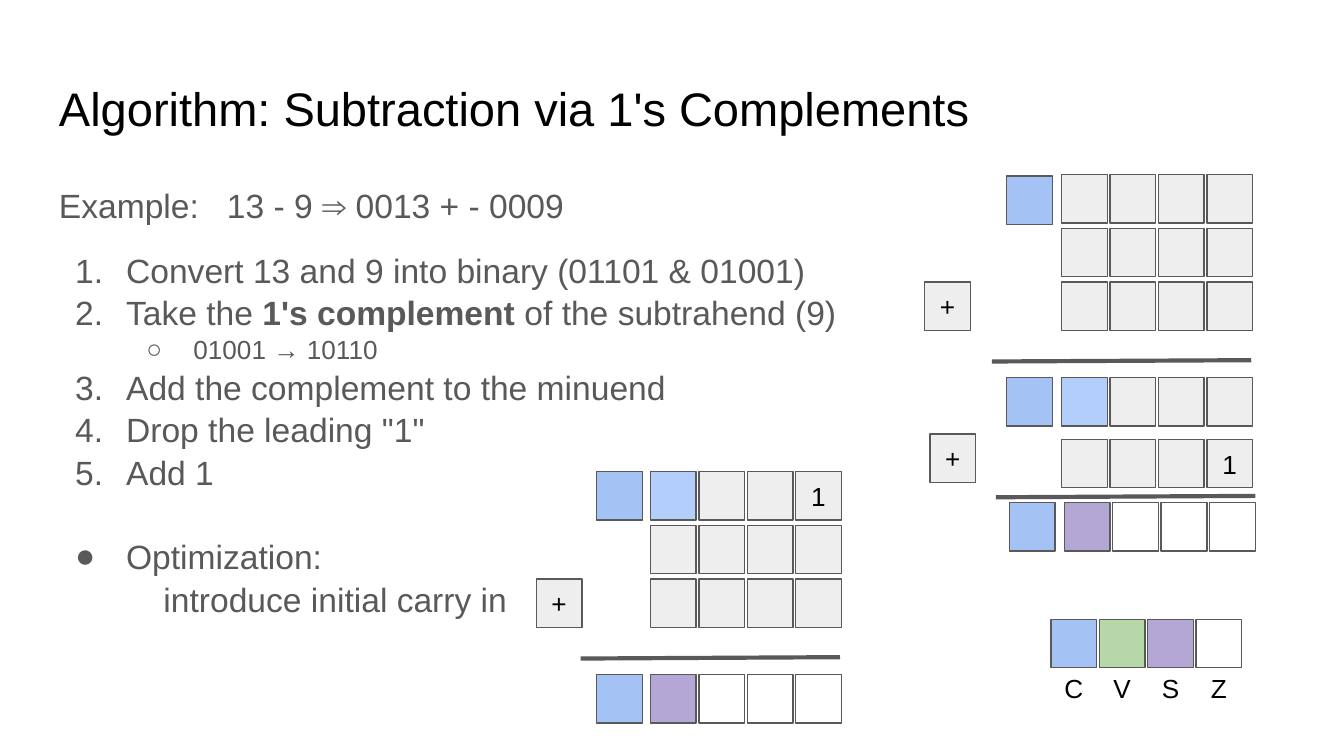
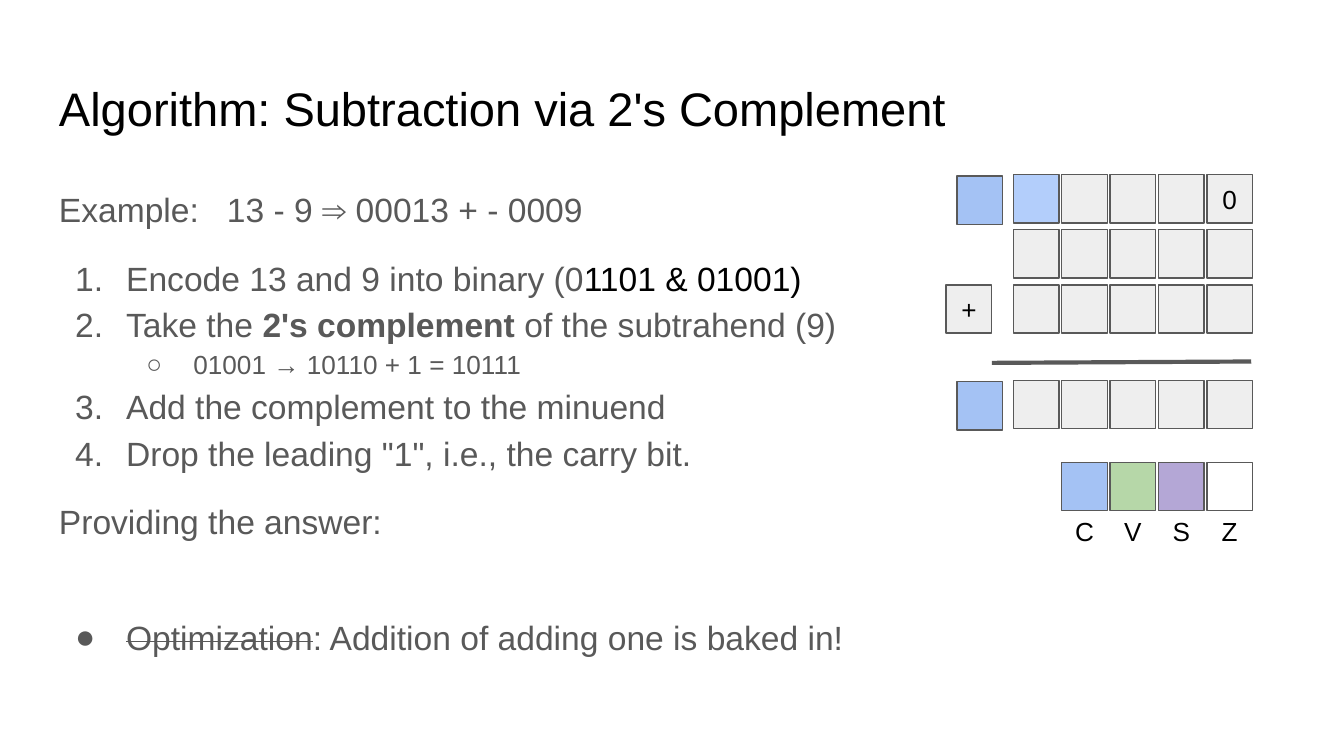
from dataclasses import dataclass

from lxml.etree import SubElement
from pptx import Presentation
from pptx.dml.color import RGBColor
from pptx.enum.shapes import MSO_CONNECTOR, MSO_SHAPE
from pptx.enum.text import MSO_ANCHOR, PP_ALIGN
from pptx.oxml.ns import qn
from pptx.util import Inches, Pt


@dataclass(frozen=True)
class Theme:
    font: str = "Arial"
    black: RGBColor = RGBColor.from_string("000000")
    gray: RGBColor = RGBColor.from_string("595959")
    title_size: float = 25.2
    body_size: float = 18
    small_size: float = 14


theme = Theme()

FILLS = {
    "bit": RGBColor.from_string("EEEEEE"),
    "carry": RGBColor.from_string("A4C2F4"),
    "lead": RGBColor.from_string("B3CEFB"),
    "overflow": RGBColor.from_string("B6D7A8"),
    "sign": RGBColor.from_string("B4A7D6"),
    "zero": RGBColor.from_string("FFFFFF"),
}
CELL_WIDTH, CELL_HEIGHT, CELL_PITCH = 0.34, 0.36, 0.36
LABEL_DROP = 0.33
BITS = ["bit"] * 4
RESULT = ["sign"] + ["zero"] * 3
LEAD_BITS = ["lead"] + ["bit"] * 3
FLAGS = ["carry", "overflow", "sign", "zero"]

LISTS = {
    "plain": (0, 0, None),
    "number": (0.5, -0.38, ("a:buAutoNum", "type", "arabicPeriod")),
    "circle": (1, -0.35, ("a:buChar", "char", "○")),
    "dot": (0.5, -0.38, ("a:buChar", "char", "●")),
}
GAPS = {"gap": "1000", "wide gap": "1500"}

SLIDES = [
    {
        "title": "Algorithm: Subtraction via 1's Complements",
        "spacing": 1.05,
        "body": [
            ("plain", 0, [("Example:", ""), (" ", "gap"), ("13 - 9 ⇒ 0013 + - 0009", "")]),
            ("number", 12, [("Convert 13 and 9 into binary (01101 & 01001)", "")]),
            ("number", 0, [("Take the", ""), (" 1's complement ", "bold"), ("of the subtrahend (9)", "")]),
            ("circle", 0, [("01001 → 10110", "")]),
            ("number", 0, [("Add the complement to the minuend", "")]),
            ("number", 0, [('Drop the leading "1"', "")]),
            ("number", 0, [("Add 1", "")]),
            ("dot", 22.6, [("Optimization:", ""), ("", "break"), (" ", "wide gap"), ("introduce initial carry in", "")]),
        ],
        "rows": [
            (7.49, 1.31, ["carry"], ""),
            (7.9, 1.3, BITS, ""),
            (7.9, 1.7, BITS, ""),
            (6.88, 2.1, ["bit"], "+"),
            (7.9, 2.1, BITS, ""),
            (7.49, 2.81, ["carry"], ""),
            (7.9, 2.81, LEAD_BITS, ""),
            (6.92, 3.23, ["bit"], "+"),
            (7.9, 3.27, BITS, "1"),
            (7.51, 3.74, ["carry"], ""),
            (7.92, 3.74, RESULT, ""),
            (4.44, 3.51, ["carry"], ""),
            (4.84, 3.51, LEAD_BITS, "1"),
            (4.84, 3.91, BITS, ""),
            (3.99, 4.31, ["bit"], "+"),
            (4.84, 4.31, BITS, ""),
            (4.44, 5.02, ["carry"], ""),
            (4.84, 5.02, RESULT, ""),
        ],
        "sums": [(7.38, 2.69), (7.41, 3.7), (4.32, 4.9)],
        "legend": (7.82, 4.61),
    },
    {
        "title": "Algorithm: Subtraction via 2's Complement",
        "spacing": 1.15,
        "body": [
            ("plain", 0, [("Example:", ""), (" ", "gap"), ("13 - 9 ⇒ 00013 + - 0009", "")]),
            ("number", 12, [("Encode 13 and 9 into binary (0", ""), ("1101 & 01001)", "black")]),
            ("number", 0, [("Take the ", ""), ("2's complement", "bold"), (" of the subtrahend (9)", "")]),
            ("circle", 0, [("01001 → 10110 + 1 = 10111", "")]),
            ("number", 0, [("Add the complement to the minuend", "")]),
            ("number", 0, [('Drop the leading "1", i.e., the carry bit.', "")]),
            ("plain", 12, [("Providing the answer:", "")]),
            ("dot", 37, [("Optimization", "strike"), (": Addition of adding one is baked in!", "")]),
        ],
        "rows": [
            (7.12, 1.31, ["carry"], ""),
            (7.54, 1.3, ["lead"] + BITS, "0"),
            (7.54, 1.71, ["bit"] + BITS, ""),
            (7.04, 2.12, ["bit"], "+"),
            (7.54, 2.12, ["bit"] + BITS, ""),
            (7.12, 2.84, ["carry"], ""),
            (7.54, 2.83, ["bit"] + BITS, ""),
        ],
        "sums": [(7.38, 2.7)],
        "legend": (7.9, 3.44),
    },
]


def style_span(span, size, color):
    span.font.name = theme.font
    span.font.size = Pt(size)
    span.font.color.rgb = color


def add_cell(page, left, top, fill, text):
    place = [Inches(length) for length in (left, top, CELL_WIDTH, CELL_HEIGHT)]
    if fill:
        box = page.shapes.add_shape(MSO_SHAPE.RECTANGLE, *place)
        box.shadow.inherit = False
        box.fill.solid()
        box.fill.fore_color.rgb = FILLS[fill]
        box.line.color.rgb = theme.gray
        box.line.width = Pt(0.75)
    else:
        box = page.shapes.add_textbox(*place)
    if text:
        frame = box.text_frame
        frame.word_wrap = True
        frame.vertical_anchor = MSO_ANCHOR.MIDDLE
        frame.margin_left = frame.margin_right = Inches(0.1)
        frame.margin_top = frame.margin_bottom = Inches(0.1)
        frame.text = text
        para = frame.paragraphs[0]
        para.alignment = PP_ALIGN.CENTER
        style_span(para.runs[0], theme.small_size, theme.black)


deck = Presentation()
deck.slide_width = Inches(10)
deck.slide_height = deck.slide_width * 9 // 16

for content in SLIDES:
    page = deck.slides.add_slide(deck.slide_layouts[6])

    frames = []
    for top, height in ((0.49, 0.63), (1.26, 3.74)):
        box = page.shapes.add_textbox(Inches(0.34), Inches(top), Inches(9.32), Inches(height))
        frame = box.text_frame
        frame.word_wrap = True
        frame.margin_left = frame.margin_right = Inches(0.1)
        frame.margin_top = frame.margin_bottom = Inches(0.1)
        frames.append(frame)
    title, body = frames

    title.text = content["title"]
    style_span(title.paragraphs[0].runs[0], theme.title_size, theme.black)

    for index, (kind, before, pieces) in enumerate(content["body"]):
        para = body.add_paragraph() if index else body.paragraphs[0]
        para.level = 1 if kind == "circle" else 0
        para.line_spacing = content["spacing"]
        para.space_before = Pt(before)
        margin, indent, bullet = LISTS[kind]
        properties = para._p.get_or_add_pPr()
        properties.set("marL", str(Inches(margin)))
        properties.set("indent", str(Inches(indent)))
        if bullet:
            tag, attribute, value = bullet
            color = SubElement(properties, qn("a:buClr"))
            SubElement(color, qn("a:srgbClr")).set("val", str(theme.gray))
            SubElement(properties, qn("a:buFont")).set("typeface", theme.font)
            SubElement(properties, qn(tag)).set(attribute, value)
        else:
            SubElement(properties, qn("a:buNone"))
        for text, style in pieces:
            if style == "break":
                para.add_line_break()
                continue
            span = para.add_run()
            span.text = text
            size = theme.small_size if kind == "circle" else theme.body_size
            style_span(span, size, theme.black if style == "black" else theme.gray)
            span.font.bold = style == "bold"
            if style == "strike":
                span._r.get_or_add_rPr().set("strike", "sngStrike")
            if style in GAPS:
                span._r.get_or_add_rPr().set("spc", GAPS[style])

    for left, top, fills, last_text in content["rows"]:
        for column, fill in enumerate(fills):
            text = last_text if column == len(fills) - 1 else ""
            add_cell(page, left + column * CELL_PITCH, top, fill, text)

    for left, top in content["sums"]:
        rule = page.shapes.add_connector(
            MSO_CONNECTOR.STRAIGHT, Inches(left), Inches(top), Inches(left + 1.93), Inches(top - 0.01)
        )
        rule.line.color.rgb = theme.gray
        rule.line.width = Pt(2.25)
        SubElement(rule._element.spPr, qn("a:effectLst"))

    left, top = content["legend"]
    for column, (fill, letter) in enumerate(zip(FLAGS, "CVSZ")):
        add_cell(page, left + column * CELL_PITCH, top, fill, "")
        add_cell(page, left + column * CELL_PITCH, top + LABEL_DROP, None, letter)

deck.save("out.pptx")
